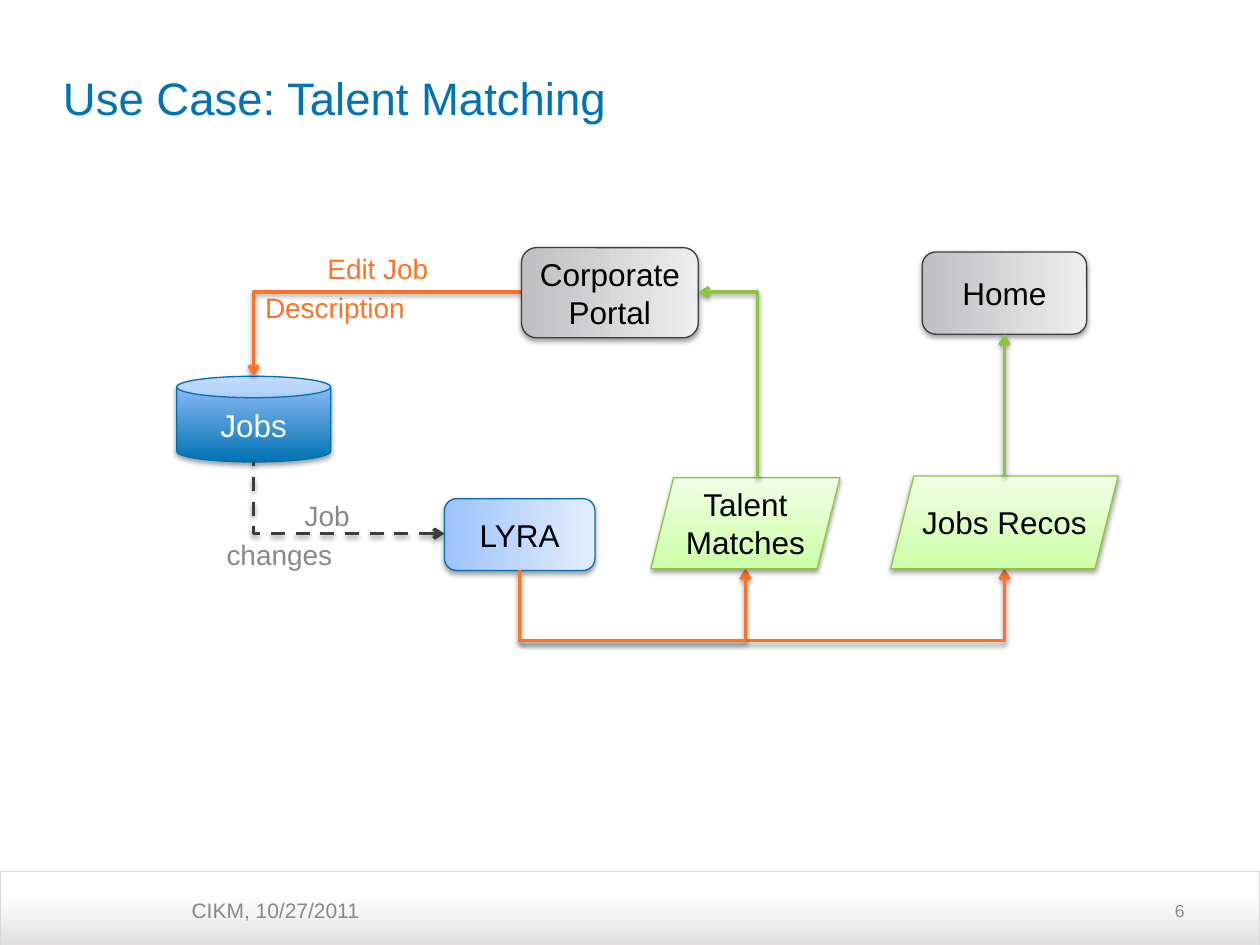
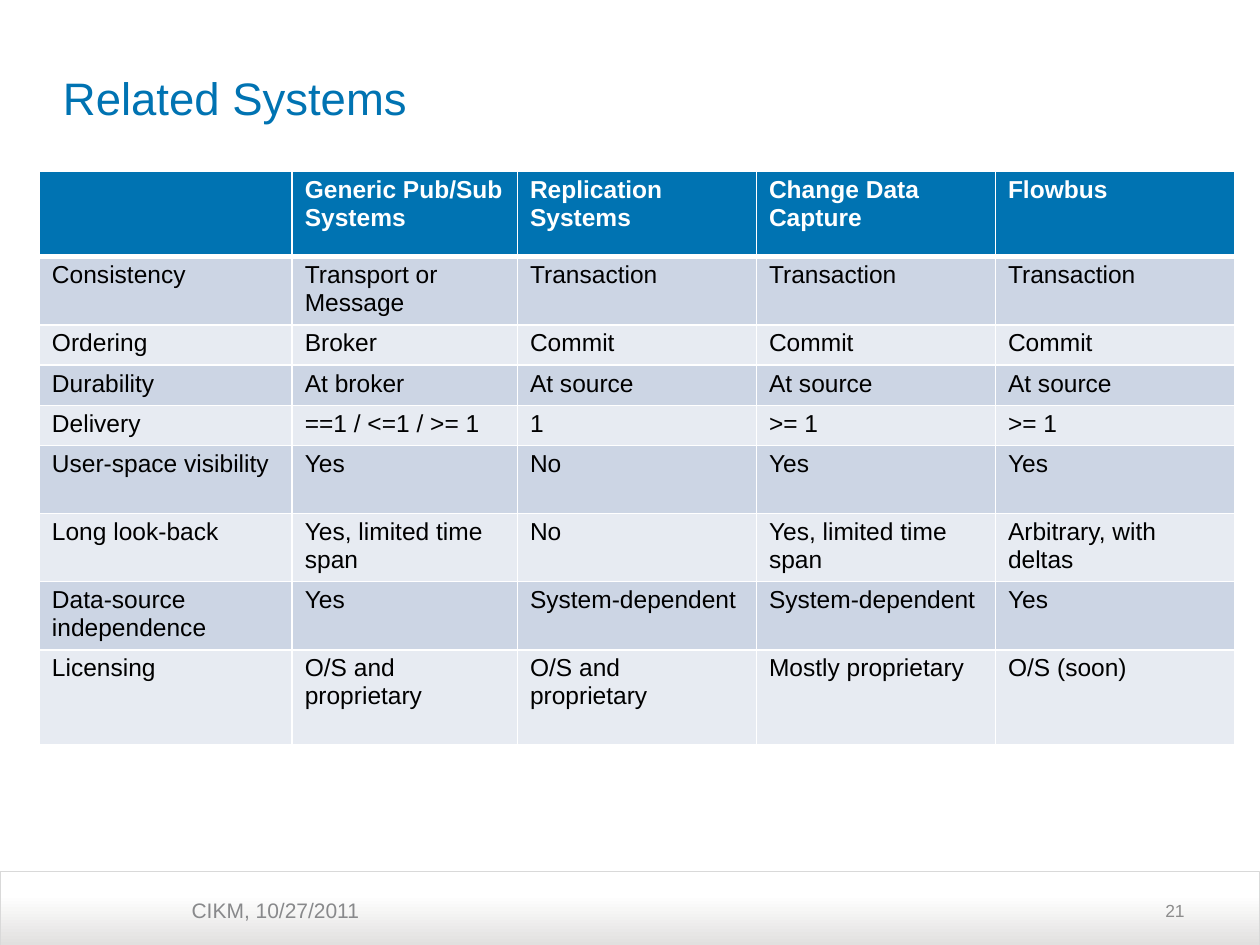
"""Builds two slides: the talent matching flow and the related systems table."""
from dataclasses import dataclass

from lxml import etree
from pptx import Presentation
from pptx import util as u
from pptx.dml.color import RGBColor
from pptx.enum import dml, shapes, text
from pptx.oxml.ns import qn

Pt = u.Pt
Kind = shapes.MSO_SHAPE
Align = text.PP_ALIGN
Anchor = text.MSO_ANCHOR


@dataclass(frozen=True)
class Theme:
    font: str = "Arial"
    blue: str = "0073B2"
    blue_line: str = "0070AE"
    orange: str = "FE7328"
    green: str = "8CC63F"
    dark: str = "3C3D41"
    grey: str = "88898B"
    number: str = "8C8C8C"
    band_line: str = "D9D9D9"
    black: str = "000000"
    white: str = "FFFFFF"
    band_fill: tuple = ("E1E0DF", "FFFFFF")
    store_fill: tuple = ("0073B2", "9BC2FF")
    page_fill: tuple = ("BFBFC1", "EEEEEF")
    service_fill: tuple = ("9CC2FD", "E4EEFF")
    result_fill: tuple = ("CDFFA6", "F1FFE7")
    row_fills: tuple = ("CCD5E4", "E7EBF2")
    title_size: int = 26
    node_size: int = 18
    label_size: int = 16
    table_size: int = 14
    footer_size: int = 12
    number_size: int = 10


THEME = Theme()
FOOTER = "CIKM, 10/27/2011"

COLUMN_WIDTHS = (144.5, 128.7, 136.6, 136.6, 136.6)
ROW_HEIGHTS = (48.7, 38.9, 23, 23, 23, 38.9, 38.9, 38.9, 54)
SYSTEMS = (
    ("", "Generic Pub/Sub Systems", "Replication Systems", "Change Data Capture", "Flowbus"),
    ("Consistency", "Transport or Message", "Transaction", "Transaction", "Transaction"),
    ("Ordering", "Broker", "Commit", "Commit", "Commit"),
    ("Durability", "At broker", "At source", "At source", "At source"),
    ("Delivery", "==1 / <=1 / >= 1", "1", ">= 1", ">= 1"),
    ("User-space visibility", "Yes", "No", "Yes", "Yes"),
    ("Long look-back", "Yes, limited time span", "No", "Yes, limited time span",
     "Arbitrary, with deltas"),
    ("Data-source independence", "Yes", "System-dependent", "System-dependent", "Yes"),
    ("Licensing", "O/S and proprietary", "O/S and proprietary", "Mostly proprietary",
     "O/S (soon)"),
)


def rgb(colour):
    return RGBColor.from_string(colour)


def apply(target, values):
    for name, value in values.items():
        setattr(target, name, value)


def points(values):
    return [Pt(value) for value in values]


def add_xml(parent, tag, **attributes):
    return etree.SubElement(parent, qn(tag), attributes)


def write(para, words, size, colour, bold=False, **layout):
    apply(para, layout)
    span = para.add_run()
    span.text = words
    apply(span.font, {"name": THEME.font, "size": Pt(size), "bold": bold})
    span.font.color.rgb = rgb(colour)


def add_text(page, place, lines, size, colour, align=Align.LEFT, **frame_format):
    """Adds a text box; align holds for its first line, later lines start at the left."""
    frame = page.shapes.add_textbox(*points(place)).text_frame
    apply(frame, {"word_wrap": True, "margin_left": 0, **frame_format})
    for index, words in enumerate(lines):
        para = frame.add_paragraph() if index else frame.paragraphs[0]
        write(para, words, size, colour, alignment=Align.LEFT if index else align,
              space_before=Pt(size * 0.2 if index else 0))


def add_shadow(shape):
    effects = add_xml(shape._element.spPr, "a:effectLst")
    shadow = add_xml(effects, "a:outerShdw", blurRad=str(Pt(3)), dist=str(int(Pt(1.6))),
                     dir="5400000", rotWithShape="0")
    colour = add_xml(shadow, "a:srgbClr", val=THEME.black)
    add_xml(colour, "a:alpha", val="38000")


def add_gradient_shape(page, kind, place, fills, outline, angle=90, last_stop=1, width=0.75):
    shape = page.shapes.add_shape(kind, *points(place))
    shape.fill.gradient()
    shape.fill.gradient_angle = angle
    for stop, colour, position in zip(shape.fill.gradient_stops, fills, (0, last_stop)):
        stop.color.rgb = rgb(colour)
        stop.position = position
    shape.line.color.rgb = rgb(outline)
    shape.line.width = Pt(width)
    return shape


def add_node(page, kind, place, words, fills, outline, colour=THEME.black, angle=90, **margins):
    shape = add_gradient_shape(page, kind, place, fills, outline, angle)
    add_shadow(shape)
    frame = shape.text_frame
    apply(frame, {"word_wrap": True, "vertical_anchor": Anchor.MIDDLE, **margins})
    write(frame.paragraphs[0], words, THEME.node_size, colour, alignment=Align.CENTER)


def add_flow(page, start, end, colour, arrow="a:tailEnd", bent=True, dash=None):
    """Draws a line that runs sideways first when bent."""
    kind = shapes.MSO_CONNECTOR.ELBOW if bent else shapes.MSO_CONNECTOR.STRAIGHT
    flow = page.shapes.add_connector(kind, *points(start + end))
    properties = flow._element.spPr
    if bent:
        properties.find(qn("a:prstGeom")).set("prst", "bentConnector2")
    flow.line.color.rgb = rgb(colour)
    apply(flow.line, {"width": Pt(2), "dash_style": dash})
    if arrow:
        add_xml(properties.find(qn("a:ln")), arrow, type="arrow")
    add_shadow(flow)


def add_page(deck, title, number):
    page = deck.slides.add_slide(deck.slide_layouts[6])
    band = add_gradient_shape(page, Kind.ROUND_2_SAME_RECTANGLE, (0, 498, 719.5, 42),
                              THEME.band_fill, THEME.band_line, last_stop=0.68, width=0.25)
    band.shadow.inherit = False
    band.adjustments[0] = 0
    add_text(page, (109.5, 509.5, 223, 24.5), [FOOTER], THEME.footer_size, THEME.grey)
    add_text(page, (36, 16, 648, 79), [title], THEME.title_size, THEME.blue,
             margin_right=0, vertical_anchor=Anchor.MIDDLE)
    add_text(page, (516, 505.5, 168, 29), [number], THEME.number_size, THEME.number,
             Align.RIGHT, vertical_anchor=Anchor.MIDDLE)
    return page


def add_talent_flow(page):
    rounded = Kind.FLOWCHART_ALTERNATE_PROCESS
    add_node(page, Kind.CAN, (101, 215, 88, 49), "Jobs", THEME.store_fill,
             THEME.blue_line, THEME.white)
    for place, lines, colour in (
        ((129.5, 281.5, 122, 47), ("Job", "changes"), THEME.grey),
        ((151.5, 140, 136, 60), ("Edit Job", "Description"), THEME.orange),
    ):
        add_text(page, place, lines, THEME.label_size, colour, Align.CENTER)

    add_flow(page, (254, 305), (145, 264), THEME.dark, "a:headEnd",
             dash=dml.MSO_LINE.DASH)
    add_flow(page, (298, 167), (145, 215), THEME.orange)

    for place, words, fills, outline in (
        ((298, 141.5, 101, 51.5), "Corporate Portal", THEME.page_fill, THEME.dark),
        ((527, 144, 94, 47), "Home", THEME.page_fill, THEME.dark),
        ((254, 285, 86, 41), "LYRA", THEME.service_fill, THEME.blue_line),
    ):
        add_node(page, rounded, place, words, fills, outline, angle=0)

    add_flow(page, (297, 326), (297, 367), THEME.orange, arrow=None, bent=False)
    for target in (574, 426):
        add_flow(page, (297, 366), (target, 325), THEME.orange)

    no_margins = dict.fromkeys(
        ("margin_left", "margin_top", "margin_right", "margin_bottom"), 0)
    for place, words in (((509, 272, 130, 53), "Jobs Recos"),
                         ((372, 273, 108, 52), "Talent Matches")):
        add_node(page, Kind.PARALLELOGRAM, place, words, THEME.result_fill,
                 THEME.green, **no_margins)

    add_flow(page, (399, 167), (433, 273), THEME.green, "a:headEnd")
    add_flow(page, (574, 272), (574, 191), THEME.green, bent=False)


def add_borders(cell, top, bottom):
    properties = cell._tc.get_or_add_tcPr()
    widths = {"a:lnL": 1, "a:lnR": 1, "a:lnT": top, "a:lnB": bottom}
    for index, (tag, width) in enumerate(widths.items()):
        border = add_xml(properties, tag, w=str(Pt(width)))
        add_xml(add_xml(border, "a:solidFill"), "a:srgbClr", val=THEME.white)
        properties.insert(index, border)


def add_systems_table(page):
    frame = page.shapes.add_table(len(SYSTEMS), len(COLUMN_WIDTHS), Pt(22.5), Pt(98),
                                  Pt(sum(COLUMN_WIDTHS)), Pt(sum(ROW_HEIGHTS)))
    table = frame.table
    table.horz_banding = False
    for column, width in zip(table.columns, COLUMN_WIDTHS):
        column.width = Pt(width)
    for index, (row, height, entries) in enumerate(zip(table.rows, ROW_HEIGHTS, SYSTEMS)):
        row.height = Pt(height)
        header = index == 0
        fill = THEME.blue if header else THEME.row_fills[(index - 1) % 2]
        colour = THEME.white if header else THEME.black
        for cell, words in zip(row.cells, entries):
            apply(cell, {"margin_top": Pt(2.8), "margin_bottom": Pt(2.5)})
            cell.fill.solid()
            cell.fill.fore_color.rgb = rgb(fill)
            add_borders(cell, top=3 if index == 1 else 1, bottom=3 if header else 1)
            if words:
                write(cell.text_frame.paragraphs[0], words, THEME.table_size, colour, header)


def main():
    deck = Presentation()
    apply(deck, {"slide_width": Pt(720), "slide_height": Pt(540)})
    add_talent_flow(add_page(deck, "Use Case: Talent Matching", "6"))
    add_systems_table(add_page(deck, "Related Systems", "21"))
    deck.save("out.pptx")


if __name__ == "__main__":
    main()
